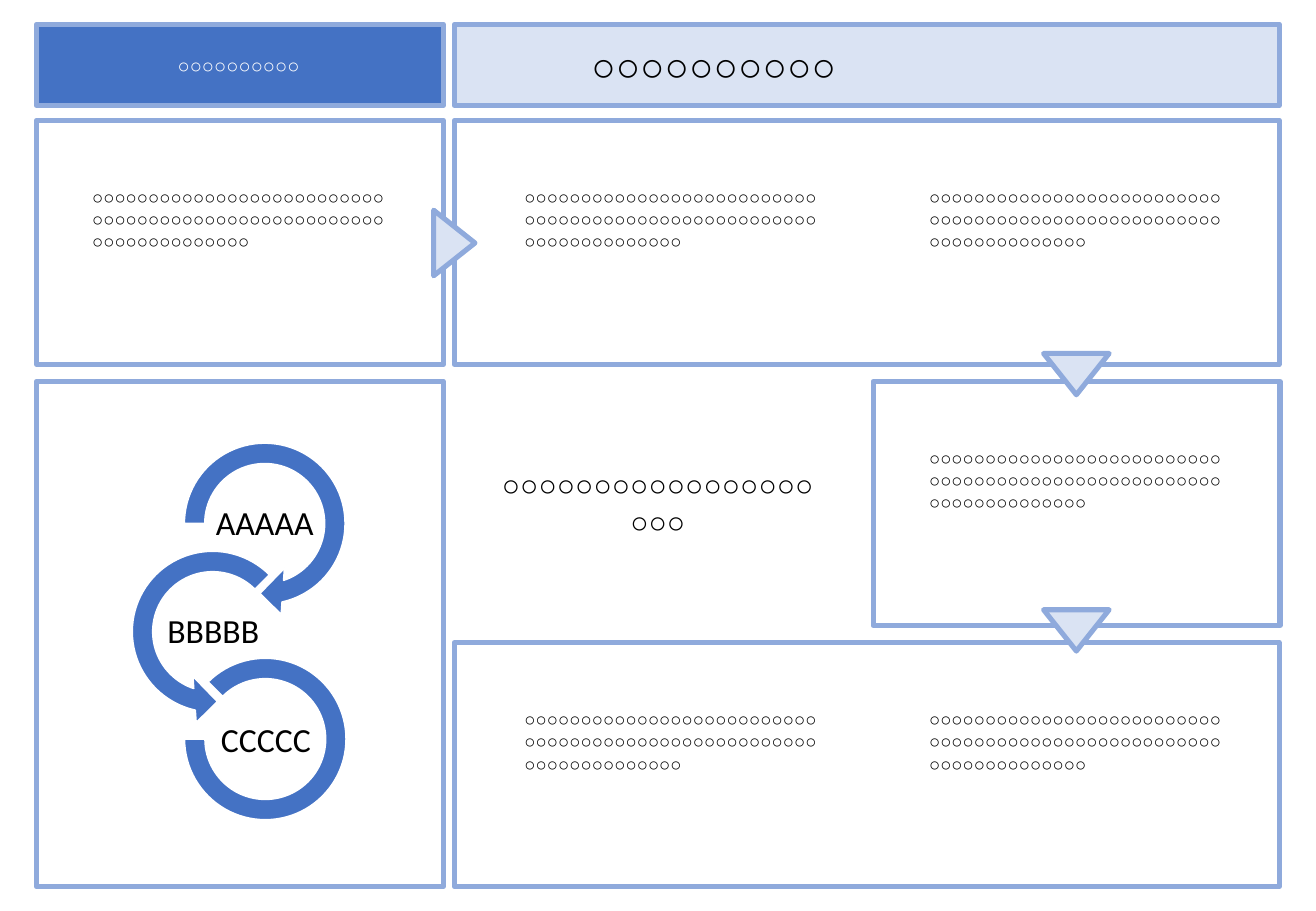
import pptx
import pptx.util
import pptx.dml.color
import pptx.enum.shapes
import pptx.enum.text

Pt = pptx.util.Pt
RGBColor = pptx.dml.color.RGBColor
Preset = pptx.enum.shapes.MSO_SHAPE
Align = pptx.enum.text.PP_ALIGN
Anchor = pptx.enum.text.MSO_ANCHOR
AutoSize = pptx.enum.text.MSO_AUTO_SIZE

BLUE = RGBColor(0x44, 0x72, 0xC4)
PALE_BLUE = RGBColor(0xDA, 0xE3, 0xF3)
BORDER = RGBColor(0x8F, 0xAA, 0xDC)
WHITE = RGBColor(0xFF, 0xFF, 0xFF)
BLACK = RGBColor(0x00, 0x00, 0x00)

HEADER_TOP, HEADER_HEIGHT = 14.4, 48.2
ROW_TOPS = [71.3 + 154.8 * row for row in range(3)]
ROW_HEIGHT = 144.7
LEFT, MIDDLE, RIGHT = 21.6, 269.3, 517.5
NARROW, WIDE = 241.2, 488.9
BODY_LEFTS = [47.5, 303.8, 543.6]
BODY_OFFSET = 35.2

# Column and row of each body text
BODY_CELLS = [(0, 0), (1, 0), (2, 0), (2, 1), (1, 2), (2, 2)]
# Left, top and rotation of each flow marker
MARKERS = [(249.8, 131.8, 90), (618.5, 209.5, 180), (618.5, 361.4, 180)]
# Preset, left, top, size and adjustments of each ring, then its label and label position
CYCLE = [
    (Preset.CIRCULAR_ARROW, 101.5, 254.9, 110.9,
     [0.11, 11.42, 45, 108, 0.125], "AAAAA", 126, 295.2),
    (Preset.LEFT_CIRCULAR_ARROW, 70.6, 319, 110.9,
     [0.11, 11.42, 63, 189, 0.125], "BBBBB", 95.5, 359.3),
    (Preset.BLOCK_ARC, 109.4, 390.2, 95.8,
     [135, 108, 0.127], "CCCCC", 126.7, 424.1),
]


def add_figure(slide, preset, left, top, width, height, fill=WHITE, line=BORDER, line_width=3):
    figure = slide.shapes.add_shape(preset, Pt(left), Pt(top), Pt(width), Pt(height))
    figure.shadow.inherit = False
    figure.fill.solid()
    figure.fill.fore_color.rgb = fill
    figure.line.color.rgb = line
    figure.line.width = Pt(line_width)
    return figure


def add_text(slide, text, left, top, width, height, size, align=Align.CENTER,
             font="Arial", color=BLACK, bold=False, wrap=True):
    box = slide.shapes.add_textbox(Pt(left), Pt(top), Pt(width), Pt(height))
    frame = box.text_frame
    frame.word_wrap = wrap
    frame.auto_size = AutoSize.SHAPE_TO_FIT_TEXT
    paragraph = frame.paragraphs[0]
    paragraph.alignment = align
    run = paragraph.add_run()
    run.text = text
    run.font.name = font
    run.font.size = Pt(size)
    run.font.bold = bold
    run.font.color.rgb = color
    return frame


def add_cycle_step(slide, preset, left, top, size, adjustments, label, label_left, label_top):
    """Add one ring of the cycle with its label in the middle."""
    ring = add_figure(slide, preset, left, top, size, size, BLUE, WHITE, 1)
    for index, value in enumerate(adjustments):
        ring.adjustments[index] = value
    frame = add_text(slide, label, label_left, label_top, 61.9, 31, 20, font="Calibri")
    frame.auto_size = AutoSize.NONE
    frame.vertical_anchor = Anchor.MIDDLE
    frame.margin_left = frame.margin_right = Pt(1)
    frame.margin_top = frame.margin_bottom = Pt(1)
    frame.paragraphs[0].line_spacing = 0.9


def add_panels(slide):
    cycle_height = ROW_TOPS[2] + ROW_HEIGHT - ROW_TOPS[1]
    for left, top, width, height, fill in [
        (LEFT, HEADER_TOP, NARROW, HEADER_HEIGHT, BLUE),
        (MIDDLE, HEADER_TOP, WIDE, HEADER_HEIGHT, PALE_BLUE),
        (LEFT, ROW_TOPS[0], NARROW, ROW_HEIGHT, WHITE),
        (MIDDLE, ROW_TOPS[0], WIDE, ROW_HEIGHT, WHITE),
        (LEFT, ROW_TOPS[1], NARROW, cycle_height, WHITE),
        (RIGHT, ROW_TOPS[1], NARROW, ROW_HEIGHT, WHITE),
        (MIDDLE, ROW_TOPS[2], WIDE, ROW_HEIGHT, WHITE),
    ]:
        add_figure(slide, Preset.RECTANGLE, left, top, width, height, fill)


def main():
    presentation = pptx.Presentation()
    presentation.slide_width = Pt(780)
    presentation.slide_height = Pt(540)
    slide = presentation.slides.add_slide(presentation.slide_layouts[6])

    add_panels(slide)
    add_text(slide, "○" * 10, 34.6, 28.1, 213.8, 21.8, 12, color=WHITE, bold=True)
    add_text(slide, "○" * 10, 294.5, 20.9, 257, 36.4, 24, bold=True, wrap=False)
    add_text(slide, "○" * 20, 287.3, 272.9, 205.2, 50.9, 18, bold=True)
    for column, row in BODY_CELLS:
        add_text(slide, "○" * 66, BODY_LEFTS[column], ROW_TOPS[row] + BODY_OFFSET,
                 189.4, 74, 11, Align.JUSTIFY)
    for step in CYCLE:
        add_cycle_step(slide, *step)
    for left, top, rotation in MARKERS:
        marker = add_figure(slide, Preset.ISOSCELES_TRIANGLE, left, top, 38.9, 24.5, PALE_BLUE)
        marker.rotation = rotation

    presentation.save("out.pptx")


if __name__ == "__main__":
    main()
